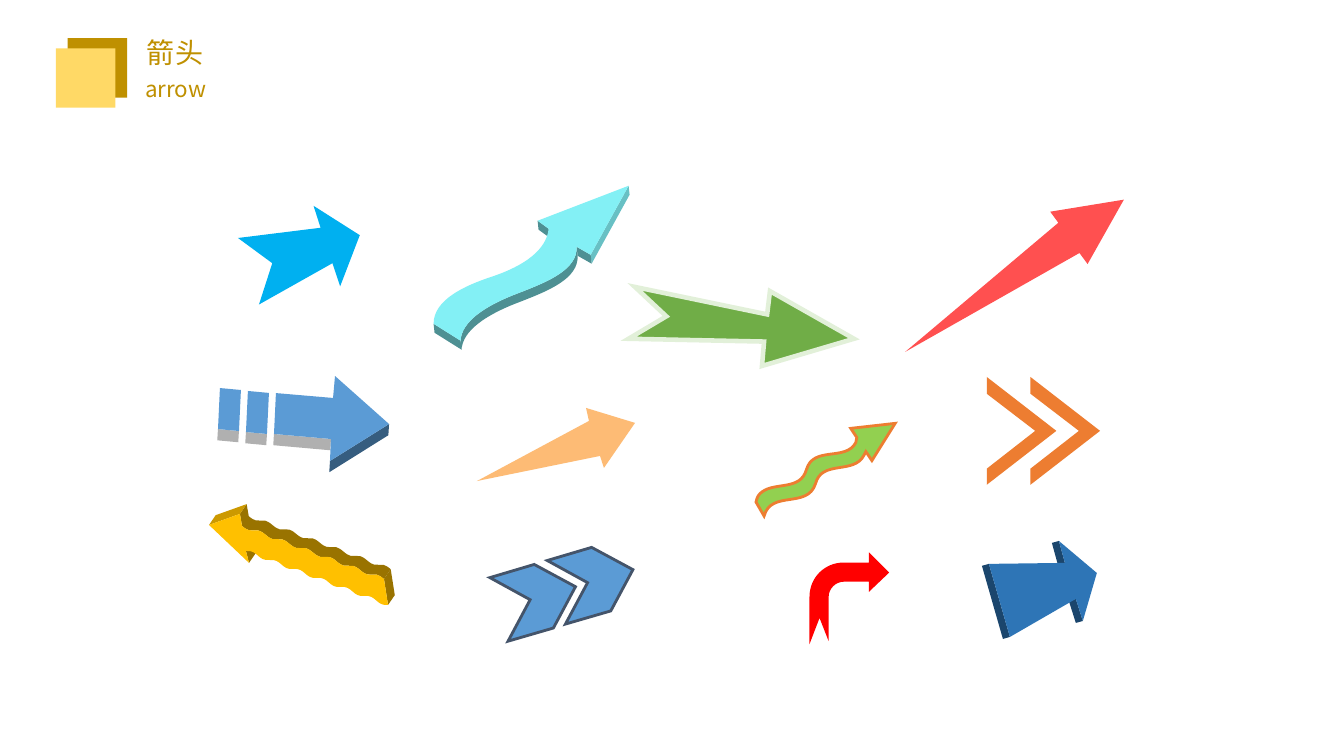
from dataclasses import dataclass

from lxml import etree
from pptx import Presentation
from pptx import util as u
from pptx.dml.color import RGBColor
from pptx.enum import shapes, text
from pptx.oxml.ns import qn


@dataclass(frozen=True)
class Theme:
    """Colours, fonts and type sizes of the slide."""
    gold: str = "BF9000"
    pale_gold: str = "FFD966"
    sky: str = "00B0F0"
    green: str = "70AD47"
    pale_green: str = "E2F0D9"
    lime: str = "92D050"
    orange: str = "ED7D31"
    peach: str = "FDBB75"
    coral: str = "FF5050"
    red: str = "FF0000"
    blue: str = "5B9BD5"
    slate: str = "44546A"
    silver: str = "B0B0B0"
    navy: str = "2E75B6"
    aqua: str = "83F0F5"
    amber: str = "FFC000"
    title_font: str = "Arial"
    subtitle_font: str = "Noto Sans CJK SC"
    title_size: float = 20
    subtitle_size: float = 16


THEME = Theme()


def shift(outline, dx, dy):
    """Move an outline of points and six-number cubic curves."""
    return [tuple(value + (dx, dy)[n % 2] for n, value in enumerate(part)) for part in outline]


def backward(run):
    """Return a run of points and curves in the other direction."""
    result = [run[-1][-2:]]
    for part, before in zip(run[:0:-1], run[-2::-1]):
        result.append(part[2:4] + part[:2] + before[-2:] if len(part) == 6 else before[-2:])
    return result


def swept(run, depth):
    """Return the outline of the side that a run leaves when moved by the depth."""
    return run + backward(shift(run, *depth))


def ripple(start, end, waves=6, height=4.2):
    """Return a run of equal S-curves between two ends."""
    dx, dy = (end[0] - start[0]) / waves, (end[1] - start[1]) / waves
    run = [start]
    for n in range(waves):
        x, y = start[0] + n * dx, start[1] + n * dy
        run.append((x + dx / 2, y + dy / 2 + height, x + dx / 2, y + dy / 2 - height, x + dx, y + dy))
    return run


def paint(shape, fill, line=None, width=0):
    """Give a shape its fill and its mitred line, without a shadow."""
    shape.shadow.inherit = False
    shape.fill.solid()
    shape.fill.fore_color.rgb = RGBColor.from_string(fill)
    if line is None:
        shape.line.fill.background()
        return
    shape.line.color.rgb = RGBColor.from_string(line)
    shape.line.width = u.Pt(width)
    etree.SubElement(shape.line._get_or_add_ln(), qn("a:miter"), lim="800000")


def set_paths(shape, contours):
    """Write the contours into a shape, each new shade in its own path."""
    path_list = shape._element.find(".//" + qn("a:pathLst"))
    size = {key: path_list[0].get(key) for key in ("w", "h")}
    path_list.remove(path_list[0])
    shade_before = None
    for shade, outline in contours:
        if shade != shade_before:
            path = etree.SubElement(path_list, qn("a:path"), **size, fill=shade)
            shade_before = shade
        for n, part in enumerate(outline):
            tag = "a:cubicBezTo" if len(part) == 6 else "a:lnTo" if n else "a:moveTo"
            command = etree.SubElement(path, qn(tag))
            for x, y in zip(part[::2], part[1::2]):
                etree.SubElement(command, qn("a:pt"), x=str(u.Pt(x) - shape.left), y=str(u.Pt(y) - shape.top))
        etree.SubElement(path, qn("a:close"))


def arrow(slide, corner, outlines, fill, line=None, width=0, sides=()):
    """Draw an arrow as one shape: its shaded sides, then its faces, from the corner of its box."""
    contours = [(shade, shift(outline, *corner))
                for shade, outline in [*sides, *(("norm", face) for face in outlines)]]
    ends = [(u.Pt(part[-2]), u.Pt(part[-1])) for _, outline in contours for part in outline]
    builder = slide.shapes.build_freeform(*ends[0])
    builder.add_line_segments(ends[1:], close=True)
    shape = builder.convert_to_shape()
    set_paths(shape, contours)
    paint(shape, fill, line, width)


def write(frame, words, font, size):
    """Write one run of gold words in a frame without margins."""
    frame.margin_left = frame.margin_right = frame.margin_top = frame.margin_bottom = 0
    frame.word_wrap = True
    frame.vertical_anchor = text.MSO_ANCHOR.MIDDLE
    paragraph = frame.paragraphs[0]
    paragraph.alignment = text.PP_ALIGN.LEFT
    run = paragraph.add_run()
    run.text = words
    run.font.name = font
    run.font.size = u.Pt(size)
    run.font.color.rgb = RGBColor.from_string(THEME.gold)


def heading(slide, left, top):
    """Place the two squares, the title and the subtitle."""
    for dx, dy, colour in ((8.3, 0, THEME.gold), (0, 7.2, THEME.pale_gold)):
        square = slide.shapes.add_shape(shapes.MSO_SHAPE.RECTANGLE, u.Pt(left + dx), u.Pt(top + dy),
                                        u.Pt(42.5), u.Pt(42.5))
        paint(square, colour)
    title = slide.shapes.title
    title.left, title.top, title.width, title.height = (
        u.Pt(left + 65), u.Pt(top - 2), u.Pt(115), u.Pt(24.5))
    write(title.text_frame, "箭头", THEME.title_font, THEME.title_size)
    subtitle = slide.shapes.add_textbox(u.Pt(left + 63.6), u.Pt(top + 26), u.Pt(99), u.Pt(19.5))
    write(subtitle.text_frame, "arrow", THEME.subtitle_font, THEME.subtitle_size)


def flat_arrows(slide):
    """Place the arrows without depth."""
    arrow(slide, (170, 147), [[(87, 21), (73, 57.5), (67.5, 41), (15, 70.5), (24.5, 41),
                               (0, 23), (59, 15.7), (54, 0)]], THEME.sky)
    arrow(slide, (449, 205), [[(161, 37), (95.3, 56.4), (96.8, 39), (0, 37), (27, 21),
                               (4.6, 0), (99, 19.6), (101, 3)]],
          THEME.green, THEME.pale_green, 3.25)
    arrow(slide, (646.6, 142.6), [[(156.2, 0), (130.3, 46), (124.5, 38.1), (0, 108.7),
                                   (109.4, 16.5), (103.6, 8.6)]], THEME.coral)
    arrow(slide, (340.7, 291.4), [[(112.9, 10.7), (90.7, 42.9), (87.9, 34.3), (0, 52.2),
                                   (80, 9.3), (77.9, 0)]], THEME.peach)
    arrow(slide, (540, 302.4), [[
        (67.7, 3.6), (99.4, 0), (82.8, 26.6), (78.5, 20.2), (77, 23),
        (69.8, 36.7, 46.8, 25.9, 42.5, 43.2), (36.7, 61.2, 10.8, 47.5, 5.8, 66.2),
        (0, 56.2), (0.7, 52.6, 2.2, 50.4, 4.3, 49), (13.7, 41.8, 31.7, 48.2, 36, 33.1),
        (41, 15.8, 64.1, 27.4, 71.3, 13.7), (72, 10.1)]], THEME.lime, THEME.orange, 2)
    arrow(slide, (578.2, 394.6), [[
        (42.5, 0), (56.9, 14.4), (42.5, 28.1), (42.5, 20.9), (24.5, 20.9),
        (18.7, 20.9, 13.7, 25.9, 13.7, 31.7), (13.7, 63.4), (7.2, 46.8), (0, 65.5),
        (0, 31.7), (0, 18, 10.8, 7.2, 24.5, 7.2), (42.5, 7.2)]], THEME.red)
    thin_chevron = [(49.7, 38.5), (0, 77), (0, 65.5), (34.6, 38.5), (0, 12), (0, 0)]
    arrow(slide, (704.9, 269.3), [thin_chevron, shift(thin_chevron, 31.2, 0)], THEME.orange)
    wide_chevron = [(0, 9.4), (31.7, 0), (61.2, 15.9), (45.4, 45.4), (13, 54.8), (28.8, 25.2)]
    arrow(slide, (349.9, 391), [shift(wide_chevron, 41, 0), shift(wide_chevron, 0, 12.2)],
          THEME.blue, THEME.slate, 2)


def solid_arrows(slide):
    """Place the arrows with depth."""
    bend = [(102.9, 44.3), (103.6, 60.7, 82.1, 69.3, 62.1, 77.1), (37.1, 86.4, 20.7, 97.9, 20, 111.4)]
    curved = [(140, 0.7), (112.9, 50), *bend, (0.7, 99.3), (0.7, 82.1, 22.9, 72.1, 42.1, 65.7),
              (65.7, 57.9, 81.4, 46.4, 82.9, 31.4), (75, 25.7)]
    depth = (0.7, 6.4)
    arrow(slide, (309, 132), [curved], THEME.aqua, sides=[
        ("darken", swept(bend, depth)), ("darkenLess", swept(curved[:2], depth)),
        *(("darken", swept(edge, depth)) for edge in (
            [bend[-1][-2:], (0.7, 99.3)], [(75, 25.7), (82.9, 31.4)], [(102.9, 44.3), (112.9, 50)]))])

    stripe = [(2.1, 9.3), (17.1, 10.7), (15.7, 40), (0.7, 38.6)]
    stripes = [stripe, shift(stripe, 20, 2.1)]
    head = [(42.1, 12.9), (82.9, 16.4), (84.3, 0.7), (122.9, 35), (80.7, 61.4), (81.4, 45.7), (40.7, 42.1)]
    depth = (-0.5, 8)
    undersides = [swept(edge, depth) for edge in (*(part[2:] for part in stripes), head[5:])]
    arrow(slide, (155, 267.9), undersides, THEME.silver)
    arrow(slide, (155, 267.9), [*stripes, head], THEME.blue, sides=[("darken", swept(head[3:5], depth))])

    top_wave = ripple((23.6, 15.7), (125, 53.6))
    low_wave = ripple((127.9, 72.1), (26.4, 33.6))
    wavy = [(0, 15), (22.1, 7.1), *top_wave, *low_wave, (28.6, 42.1)]
    depth = (4.8, -7)
    arrow(slide, (149.3, 360), [wavy], THEME.amber, sides=[
        ("darken", swept([(26.4, 33.6), (28.6, 42.1)], depth)), ("darken", swept(top_wave, depth)),
        ("darken", swept([(22.1, 7.1), (23.6, 15.7)], depth)), ("darkenLess", swept(wavy[:2], depth)),
        ("darken", swept([(125, 53.6), (127.9, 72.1)], depth))])

    block = [(5, 17.1), (59.3, 16.4), (55, 0.7), (82.1, 23.6), (72.1, 57.9), (67.1, 42.1), (20, 69.3)]
    arrow(slide, (701.4, 385.7), [block], THEME.navy, sides=[
        ("darken", swept(edge, (-5, 1.4))) for edge in (block[1:3], block[4:6], [block[0], block[6]])])


def main():
    """Build the arrow slide and save it."""
    deck = Presentation()
    deck.slide_width, deck.slide_height = u.Pt(960), u.Pt(540)
    slide = deck.slides.add_slide(deck.slide_layouts[5])
    heading(slide, 40, 27.3)
    flat_arrows(slide)
    solid_arrows(slide)
    deck.save("out.pptx")


if __name__ == "__main__":
    main()
